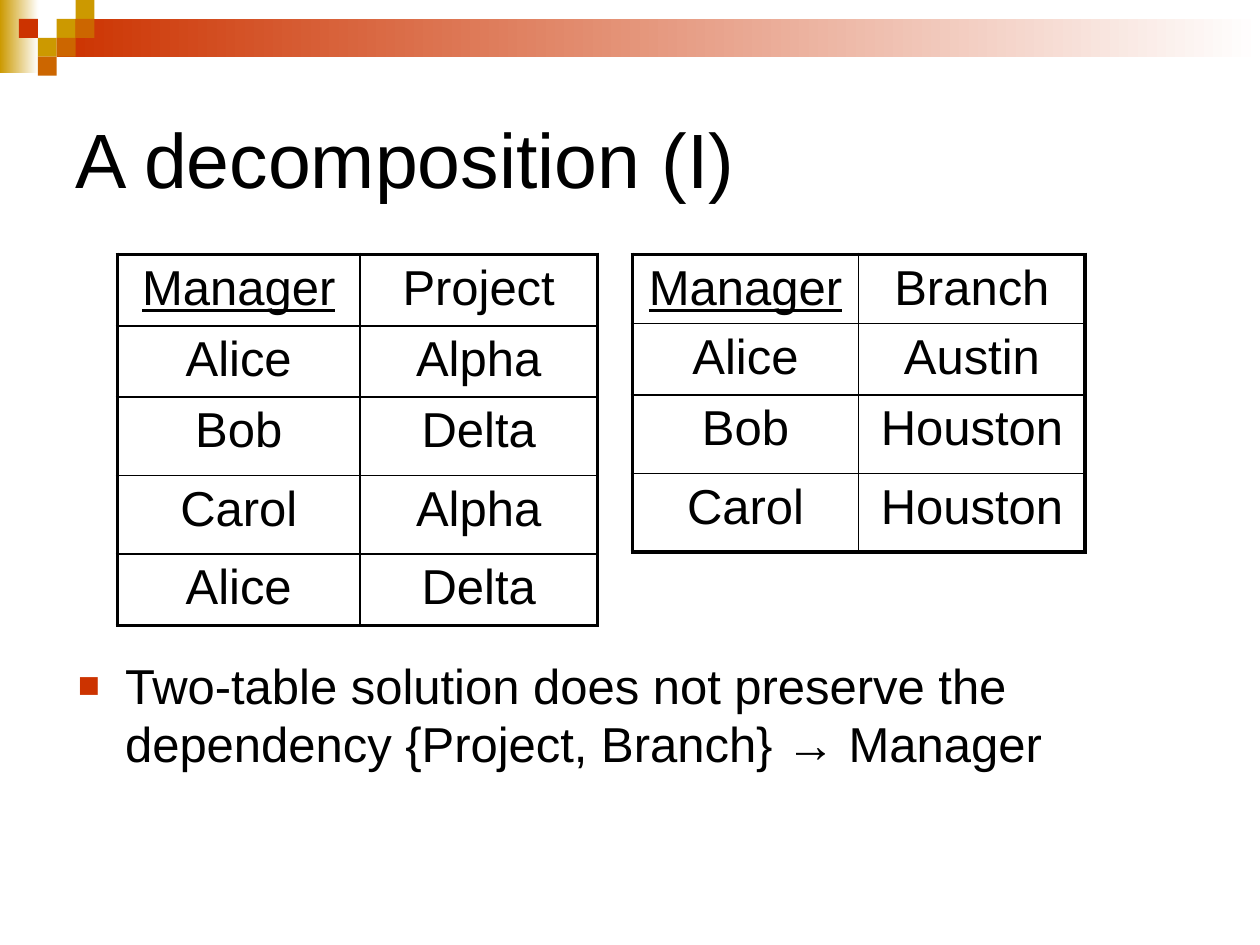
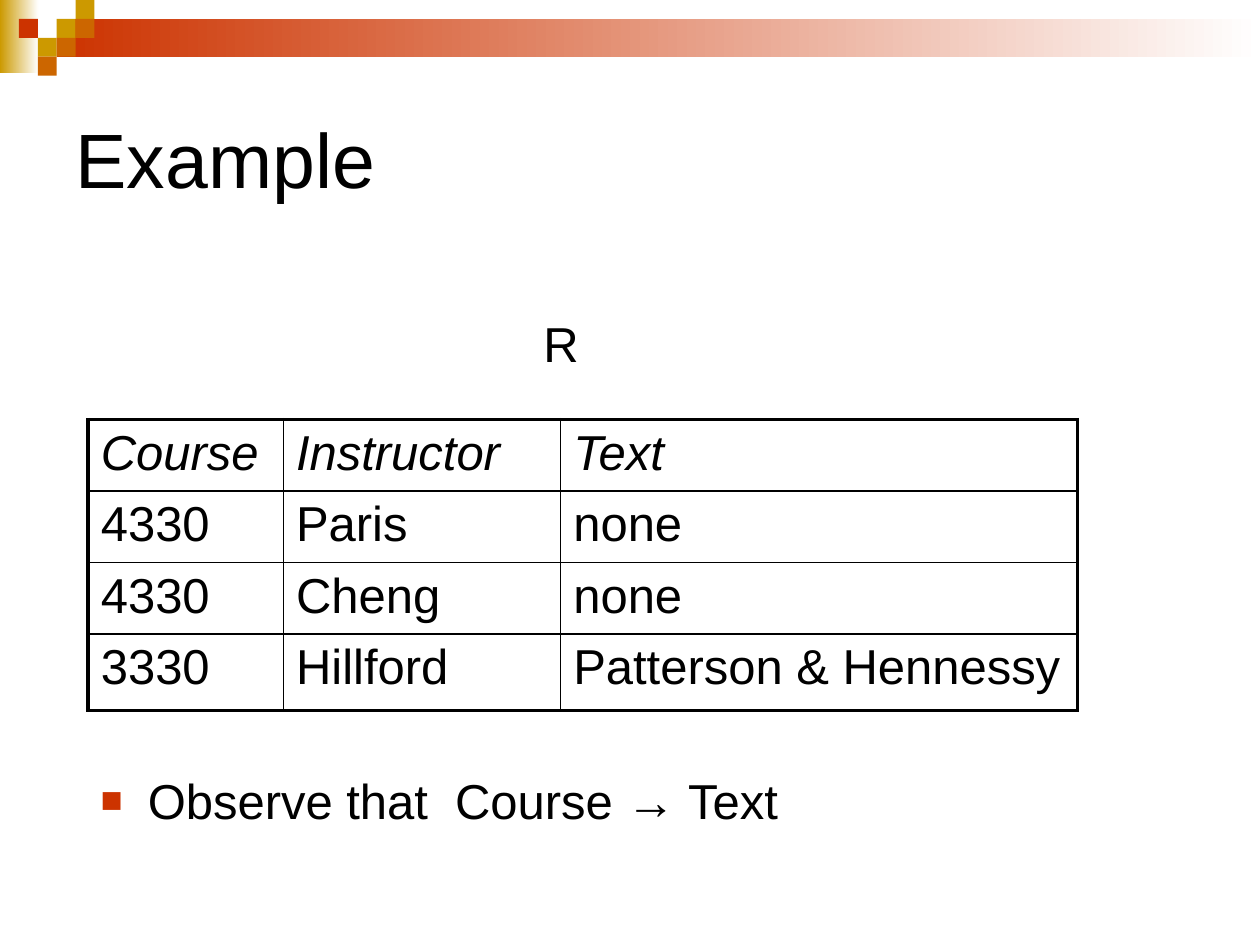
from lxml.etree import SubElement
from pptx import Presentation
from pptx.dml.color import RGBColor
from pptx.enum.shapes import MSO_SHAPE
from pptx.enum.text import MSO_ANCHOR, MSO_AUTO_SIZE, PP_ALIGN
from pptx.oxml.ns import qn
from pptx.util import Pt

COLORS = {"ink": "000000", "paper": "FFFFFF", "gold": "CC9900",
          "orange": "CC6600", "red": "CC3300"}
FONT = "Arial"
TITLE_SIZE, BODY_SIZE = 44, 28
OUTER, INNER = 2.25, 1  # table line widths
UNIT = 10.8  # side of a corner square
SQUARES = [(3, 1, "gold"), (4, 0, "gold"), (4, 1, "orange"), (2, 2, "gold"),
           (1, 1, "red"), (3, 2, "orange"), (2, 3, "orange")]


def rgb(name):
    return RGBColor.from_string(COLORS[name])


def add_run(p, text, size=BODY_SIZE, italic=False, underline=False):
    r = p.add_run()
    r.text = text
    r.font.name, r.font.size = FONT, Pt(size)
    r.font.color.rgb = rgb("ink")
    r.font.italic, r.font.underline = italic, underline


def add_rect(slide, box, color, fade=False):
    sp = slide.shapes.add_shape(MSO_SHAPE.RECTANGLE, *map(Pt, box))
    sp.shadow.inherit = False
    sp.line.fill.background()
    if fade:
        sp.fill.gradient()
        sp.fill.gradient_angle = 0
        for stop, name, position in zip(sp.fill.gradient_stops, (color, "paper"), (0, 1)):
            stop.color.rgb, stop.position = rgb(name), position
    else:
        sp.fill.solid()
        sp.fill.fore_color.rgb = rgb(color)


def add_band(slide):
    # Fading bars, then the corner squares
    add_rect(slide, (0, 0, 22, 42), "gold", fade=True)
    left = 3 * UNIT
    add_rect(slide, (left, UNIT, 720 - left, 2 * UNIT), "red", fade=True)
    for col, row, color in SQUARES:
        add_rect(slide, (col * UNIT, row * UNIT, UNIT, UNIT), color)


def add_titled_slide(prs, title):
    slide = prs.slides.add_slide(prs.slide_layouts[5])
    add_band(slide)
    sp = slide.shapes.title
    sp.left, sp.top, sp.width, sp.height = map(Pt, (36, 36, 648, 108))
    tf = sp.text_frame
    tf.vertical_anchor = MSO_ANCHOR.MIDDLE
    tf.auto_size = MSO_AUTO_SIZE.NONE
    tf.paragraphs[0].alignment = PP_ALIGN.LEFT
    add_run(tf.paragraphs[0], title, TITLE_SIZE)
    return slide


def add_text(slide, box, text):
    tf = slide.shapes.add_textbox(*map(Pt, box)).text_frame
    tf.word_wrap = True
    p = tf.paragraphs[0]
    add_run(p, text)
    return p


def add_bullet(slide, box, text):
    pPr = add_text(slide, box, text)._p.get_or_add_pPr()
    pPr.set("marL", str(Pt(27)))
    pPr.set("indent", str(-Pt(27)))
    before = SubElement(pPr, qn("a:spcBef"))
    SubElement(before, qn("a:spcPct"), val="20000")
    color = SubElement(pPr, qn("a:buClr"))
    SubElement(color, qn("a:srgbClr"), val=COLORS["red"])
    SubElement(pPr, qn("a:buSzPct"), val="75000")
    SubElement(pPr, qn("a:buFont"), typeface=FONT)
    SubElement(pPr, qn("a:buChar"), char="■")


def set_borders(cell, widths):
    tcPr = cell._tc.get_or_add_tcPr()
    for side, width in zip("LRTB", widths):
        ln = SubElement(tcPr, qn(f"a:ln{side}"), w=str(Pt(width)))
        fill = SubElement(ln, qn("a:solidFill"))
        SubElement(fill, qn("a:srgbClr"), val=COLORS["ink"])


def add_relation(slide, left, top, widths, heights, rows, align=PP_ALIGN.LEFT,
                 italic_head=False, key=None):
    """Draw a relation with a heavy frame; key is its underlined column."""
    box = (left, top, sum(widths), sum(heights))
    table = slide.shapes.add_table(len(rows), len(widths), *map(Pt, box)).table
    table.first_row = table.horz_banding = False
    for column, width in zip(table.columns, widths):
        column.width = Pt(width)
    for row, height in zip(table.rows, heights):
        row.height = Pt(height)
    last_i, last_j = len(rows) - 1, len(widths) - 1
    for i, values in enumerate(rows):
        for j, value in enumerate(values):
            cell = table.cell(i, j)
            edges = (j == 0, j == last_j, i == 0, i == last_i)
            set_borders(cell, [OUTER if edge else INNER for edge in edges])
            cell.fill.background()
            p = cell.text_frame.paragraphs[0]
            p.alignment = align
            add_run(p, value, italic=italic_head and i == 0,
                    underline=i == 0 and j == key)


def build_decomposition(prs):
    slide = add_titled_slide(prs, "A decomposition (I)")
    # The two relations side by side
    add_relation(slide, 67, 145.4, (138.8, 135.5), (40.8, 40.8, 44.8, 44.8, 40.8),
                 [("Manager", "Project"), ("Alice", "Alpha"), ("Bob", "Delta"),
                  ("Carol", "Alpha"), ("Alice", "Delta")], PP_ALIGN.CENTER, key=0)
    add_relation(slide, 361.3, 145.4, (129.4, 129.4), (39.6, 40.8, 44.8, 44.8),
                 [("Manager", "Branch"), ("Alice", "Austin"), ("Bob", "Houston"),
                  ("Carol", "Houston")], PP_ALIGN.CENTER, key=0)
    add_bullet(slide, (37.4, 370.8, 648, 105),
               "Two-table solution does not preserve the dependency "
               "{Project, Branch} → Manager")


def build_example(prs):
    slide = add_titled_slide(prs, "Example")
    # Relation R under its name
    add_text(slide, (300.2, 175.7, 41, 41), "R").alignment = PP_ALIGN.CENTER
    add_relation(slide, 50.4, 239.8, (111.6, 158.4, 295.2), (38.5, 40, 39.6, 43.6),
                 [("Course", "Instructor", "Text"), ("4330", "Paris", "none"),
                  ("4330", "Cheng", "none"),
                  ("3330", "Hillford", "Patterson & Hennessy")], italic_head=True)
    add_bullet(slide, (50.4, 437, 648, 52), "Observe that  Course → Text")


def main():
    prs = Presentation()
    prs.slide_width, prs.slide_height = Pt(720), Pt(540)
    build_decomposition(prs)
    build_example(prs)
    prs.save("out.pptx")


if __name__ == "__main__":
    main()
